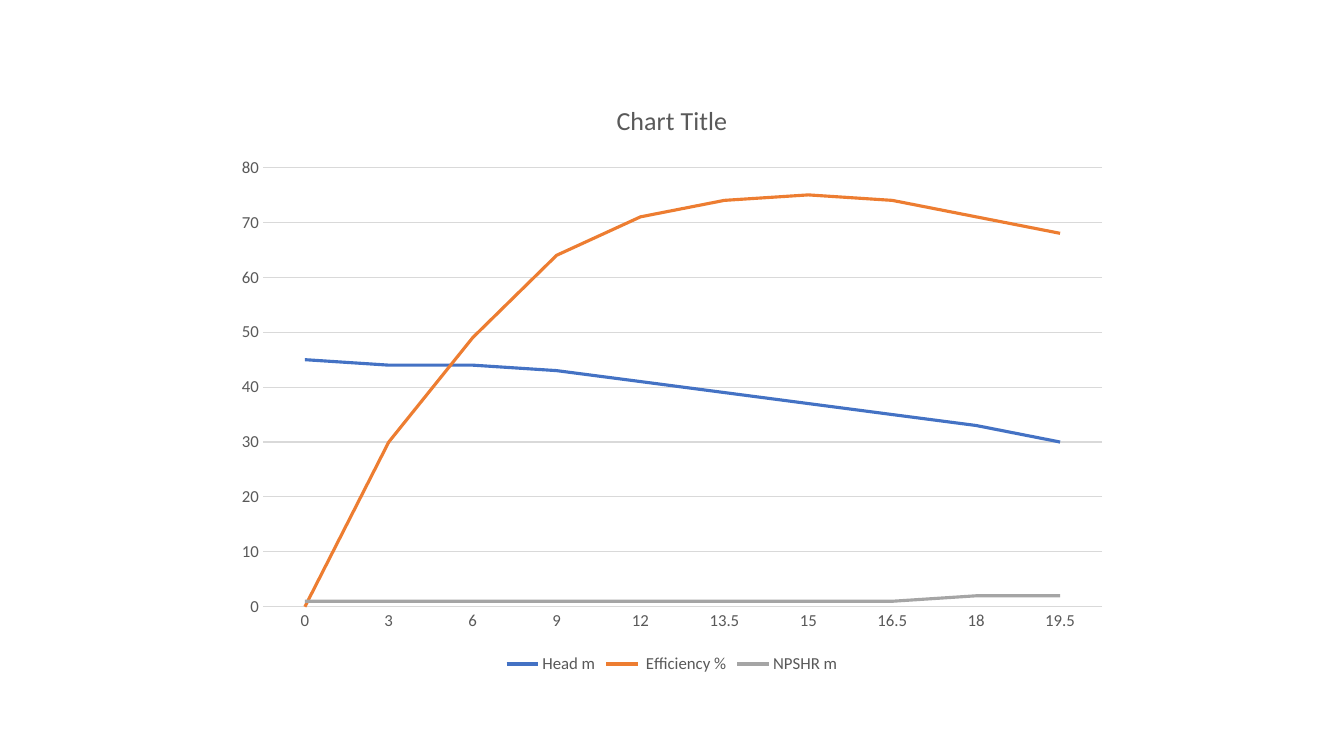
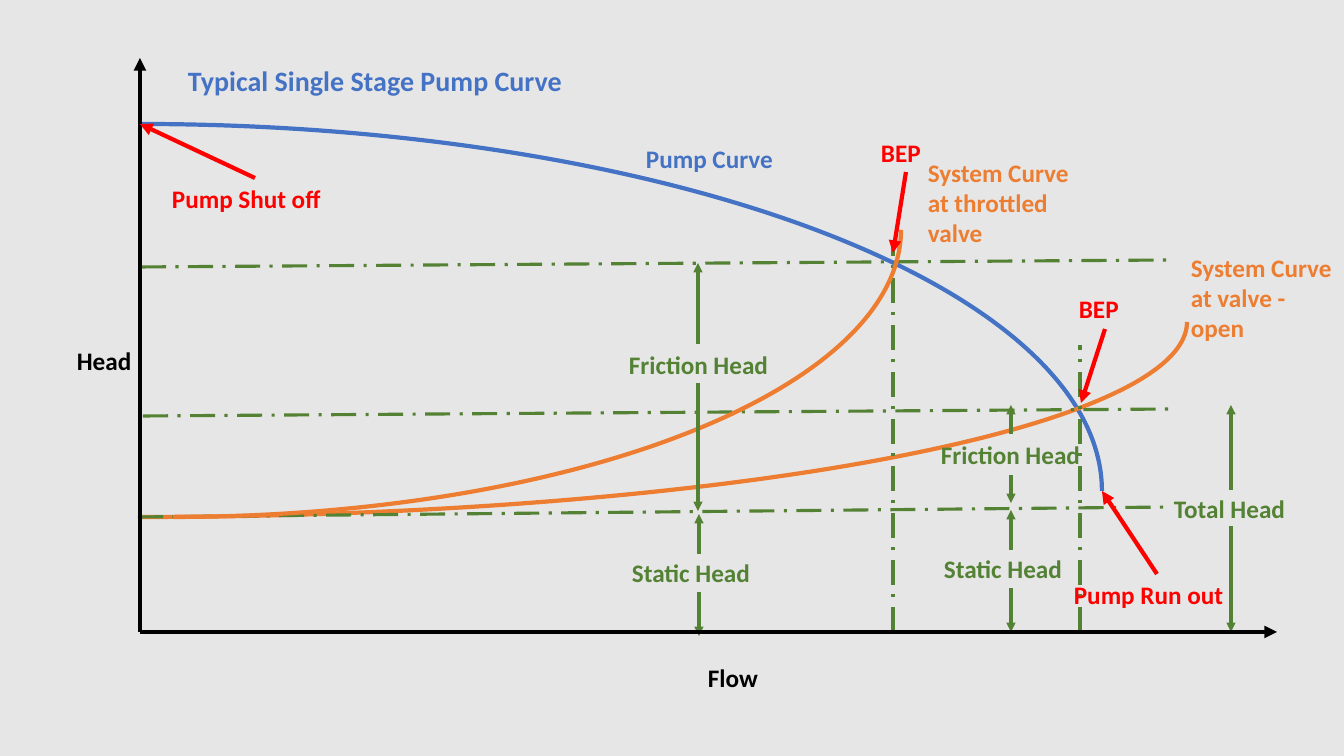
from dataclasses import dataclass

from pptx import Presentation
from pptx.chart.data import CategoryChartData
from pptx.dml.color import RGBColor
from pptx.enum.chart import XL_CHART_TYPE, XL_LEGEND_POSITION, XL_TICK_MARK
from pptx.enum.dml import MSO_LINE
from pptx.enum.shapes import MSO_CONNECTOR, MSO_SHAPE
from pptx.enum.text import MSO_AUTO_SIZE, PP_ALIGN
from pptx.oxml.ns import qn
from pptx.oxml.xmlchemy import OxmlElement
from pptx.slide import Slide
from pptx.text.text import Font
from pptx.util import Emu, Pt

LINE_CHART = XL_CHART_TYPE.LINE
LEGEND_BOTTOM = XL_LEGEND_POSITION.BOTTOM
NO_TICK = XL_TICK_MARK.NONE
DASH_DOT = MSO_LINE.LONG_DASH_DOT
STRAIGHT = MSO_CONNECTOR.STRAIGHT
ARC = MSO_SHAPE.ARC
GROW = MSO_AUTO_SIZE.SHAPE_TO_FIT_TEXT
LEFT, CENTER = PP_ALIGN.LEFT, PP_ALIGN.CENTER

SLIDE_WIDTH, SLIDE_HEIGHT = 1344, 756
EMU_PER_PX = 12192000 / SLIDE_WIDTH
FONT = "Calibri"
WHITE, PALE_GRAY = "FFFFFF", "E7E6E6"
BLUE, ORANGE, GRAY = "4472C4", "ED7D31", "A5A5A5"
GREEN, RED, BLACK = "548235", "FF0000", "000000"
CHART_TEXT, GRID = "595959", "D9D9D9"
THIN, THICK = 2.25, 3


@dataclass(frozen=True)
class Series:
    name: str
    values: tuple[int, ...]
    color: str


@dataclass(frozen=True)
class Curve:
    center_x: int
    center_y: int
    radius_x: int
    radius_y: int
    color: str
    rising: bool = False


@dataclass(frozen=True)
class Line:
    x1: int
    y1: int
    x2: int
    y2: int
    color: str = GREEN
    width: float = THIN
    dashed: bool = False


@dataclass(frozen=True)
class HeadSpan:
    x: int
    top: int
    bottom: int
    gap_top: int
    gap_bottom: int


@dataclass(frozen=True)
class Label:
    text: str
    left: int
    top: int
    width: int
    color: str
    height: int = 40
    size: int = 18
    align: PP_ALIGN = LEFT


FLOWS = ("0", "3", "6", "9", "12", "13.5", "15", "16.5", "18", "19.5")
PUMP_DATA = (
    Series("Head m", (45, 44, 44, 43, 41, 39, 37, 35, 33, 30), BLUE),
    Series(" Efficiency %", (0, 30, 49, 64, 71, 74, 75, 74, 71, 68), ORANGE),
    Series("NPSHR m", (1, 1, 1, 1, 1, 1, 1, 1, 2, 2), GRAY),
)

PUMP_CURVE = Curve(140, 491, 962, 367, BLUE)
OPEN_VALVE_CURVE = Curve(138, 322, 1049, 195, ORANGE, rising=True)
THROTTLED_CURVE = Curve(173, 230, 728, 287, ORANGE, rising=True)

GUIDES = (
    Line(138, 517, 1172, 507, dashed=True),
    Line(143, 416, 1172, 409, dashed=True),
    Line(141, 267, 1169, 260, dashed=True),
    Line(1080, 632, 1080, 345, dashed=True),
    Line(893, 632, 893, 241, dashed=True),
)
HEAD_SPANS = (
    HeadSpan(1011, 510, 632, 550, 588),
    HeadSpan(1011, 405, 503, 434, 475),
    HeadSpan(1231, 405, 632, 490, 526),
    HeadSpan(698, 263, 511, 344, 383),
    HeadSpan(699, 514, 636, 554, 592),
)
AXES = (
    Line(140, 632, 140, 58, BLACK, THICK),
    Line(140, 632, 1277, 632, BLACK, THICK),
)
POINTERS = (
    Line(1105, 329, 1081, 403, RED, THICK),
    Line(906, 172, 893, 253, RED, THICK),
    Line(255, 178, 140, 124, RED, THICK),
    Line(1157, 574, 1102, 491, RED, THICK),
)
LABELS = (
    Label("Typical Single Stage Pump Curve", 178, 59, 397, BLUE, 44, 20),
    Label("Pump Curve", 636, 138, 153, BLUE),
    Label("System Curve at valve - open", 1181, 247, 170, ORANGE, 102),
    Label("System Curve at throttled valve", 918, 152, 170, ORANGE, 102),
    Label("Static Head", 934, 548, 153, GREEN),
    Label("Static Head", 622, 552, 153, GREEN),
    Label("Friction Head", 930, 434, 161, GREEN, align=CENTER),
    Label("Friction Head", 618, 344, 161, GREEN, align=CENTER),
    Label("Total Head", 1164, 488, 134, GREEN),
    Label("BEP", 1069, 288, 71, RED),
    Label("BEP", 871, 132, 71, RED),
    Label("Pump Shut off", 162, 178, 185, RED),
    Label("Pump Run out", 1064, 574, 185, RED),
    Label("Head", 67, 340, 82, BLACK),
    Label("Flow", 698, 657, 82, BLACK),
)


def px(length: int) -> Emu:
    return Emu(round(length * EMU_PER_PX))


def rgb(color: str) -> RGBColor:
    return RGBColor.from_string(color)


def style_font(font: Font, size: float, color: str, bold: bool = False) -> None:
    font.name = FONT
    font.size = Pt(size)
    font.bold = bold
    font.color.rgb = rgb(color)


def add_slide(deck: Presentation, background: str) -> Slide:
    slide = deck.slides.add_slide(deck.slide_layouts[6])
    fill = slide.background.fill
    fill.solid()
    fill.fore_color.rgb = rgb(background)
    return slide


def draw_curve(slide: Slide, curve: Curve) -> None:
    half_width, half_height = curve.radius_x, curve.radius_y
    if curve.rising:
        half_width, half_height = half_height, half_width
    arc = slide.shapes.add_shape(
        ARC,
        px(curve.center_x - half_width),
        px(curve.center_y - half_height),
        px(2 * half_width),
        px(2 * half_height),
    )
    arc.rotation = 90 if curve.rising else 0
    arc.shadow.inherit = False
    arc.fill.background()
    arc.line.color.rgb = rgb(curve.color)
    arc.line.width = Pt(THICK)


def draw_line(slide: Slide, line: Line) -> None:
    connector = slide.shapes.add_connector(
        STRAIGHT, px(line.x1), px(line.y1), px(line.x2), px(line.y2)
    )
    connector.line.color.rgb = rgb(line.color)
    connector.line.width = Pt(line.width)
    properties = connector.element.spPr
    if line.dashed:
        connector.line.dash_style = DASH_DOT
    else:
        arrowhead = OxmlElement("a:tailEnd")
        arrowhead.set("type", "triangle")
        properties.find(qn("a:ln")).append(arrowhead)
    properties.append(OxmlElement("a:effectLst"))


def draw_head_span(slide: Slide, span: HeadSpan) -> None:
    draw_line(slide, Line(span.x, span.gap_top, span.x, span.top))
    draw_line(slide, Line(span.x, span.gap_bottom, span.x, span.bottom))


def draw_label(slide: Slide, label: Label) -> None:
    frame = slide.shapes.add_textbox(
        px(label.left), px(label.top), px(label.width), px(label.height)
    ).text_frame
    frame.word_wrap = True
    frame.auto_size = GROW
    paragraph = frame.paragraphs[0]
    paragraph.text = label.text
    paragraph.alignment = label.align
    style_font(paragraph.font, label.size, label.color, bold=True)


def build_chart_slide(deck: Presentation) -> None:
    slide = add_slide(deck, WHITE)
    data = CategoryChartData()
    data.categories = FLOWS
    for series in PUMP_DATA:
        data.add_series(series.name, series.values)
    chart = slide.shapes.add_chart(
        LINE_CHART, px(224), px(80), px(896), px(598), data
    ).chart
    style_font(chart.font, 12, CHART_TEXT)

    chart.has_title = True
    heading = chart.chart_title.text_frame.paragraphs[0]
    heading.text = "Chart Title"
    style_font(heading.font, 18.6, CHART_TEXT)

    chart.has_legend = True
    chart.legend.position = LEGEND_BOTTOM
    chart.legend.include_in_layout = False
    style_font(chart.legend.font, 12, CHART_TEXT)

    flow_axis, value_axis = chart.category_axis, chart.value_axis
    for axis in (flow_axis, value_axis):
        axis.major_tick_mark = NO_TICK
        axis.minor_tick_mark = NO_TICK
        style_font(axis.tick_labels.font, 12, CHART_TEXT)
    value_axis.minimum_scale = 0
    value_axis.maximum_scale = 80
    value_axis.major_unit = 10
    value_axis.format.line.fill.background()
    for line in (flow_axis.format.line, value_axis.major_gridlines.format.line):
        line.color.rgb = rgb(GRID)
        line.width = Pt(0.75)

    plot = chart.plots[0]
    plot.vary_by_categories = False
    for plotted, series in zip(plot.series, PUMP_DATA):
        plotted.smooth = False
        plotted.format.line.color.rgb = rgb(series.color)
        plotted.format.line.width = Pt(THIN)


def build_curve_slide(deck: Presentation) -> None:
    slide = add_slide(deck, PALE_GRAY)
    draw_curve(slide, PUMP_CURVE)
    draw_curve(slide, OPEN_VALVE_CURVE)
    for guide in GUIDES:
        draw_line(slide, guide)
    draw_curve(slide, THROTTLED_CURVE)
    for span in HEAD_SPANS:
        draw_head_span(slide, span)
    for arrow in AXES + POINTERS:
        draw_line(slide, arrow)
    for label in LABELS:
        draw_label(slide, label)


def main() -> None:
    deck = Presentation()
    deck.slide_width = px(SLIDE_WIDTH)
    deck.slide_height = px(SLIDE_HEIGHT)
    build_chart_slide(deck)
    build_curve_slide(deck)
    deck.save("out.pptx")


if __name__ == "__main__":
    main()
